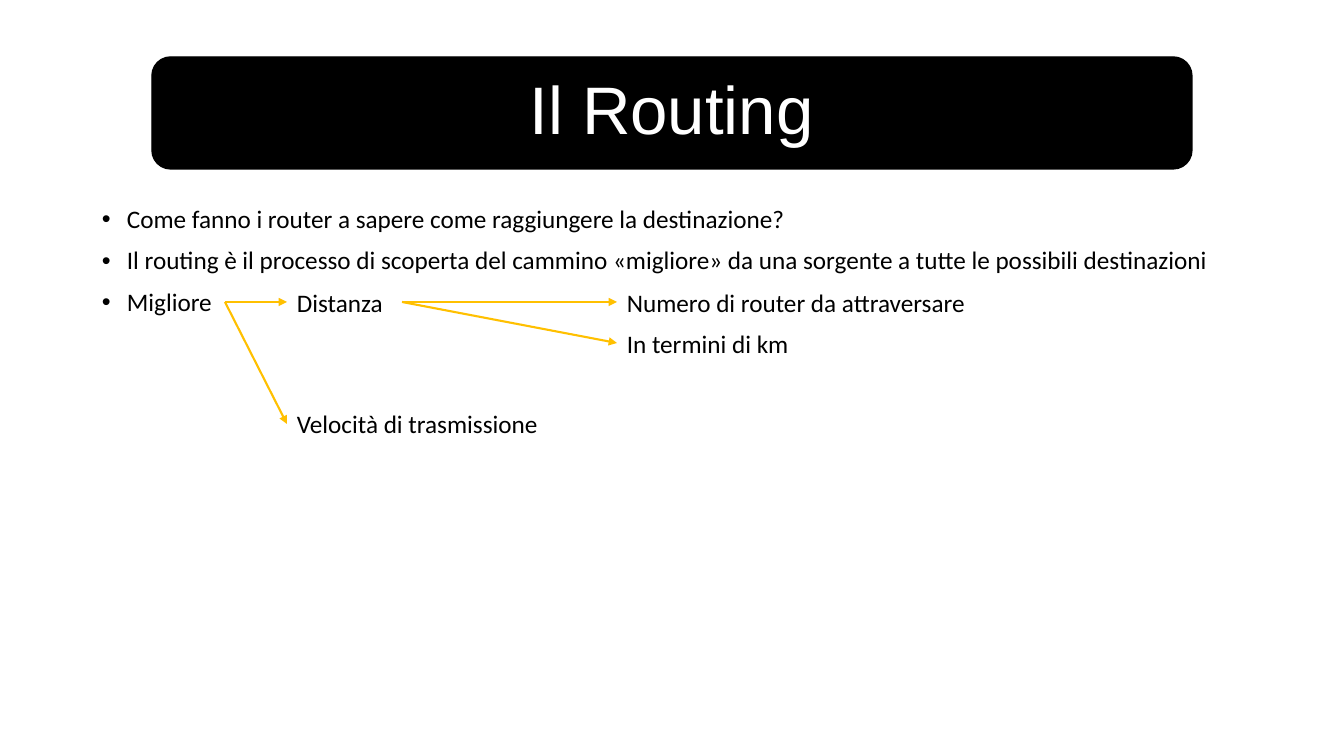
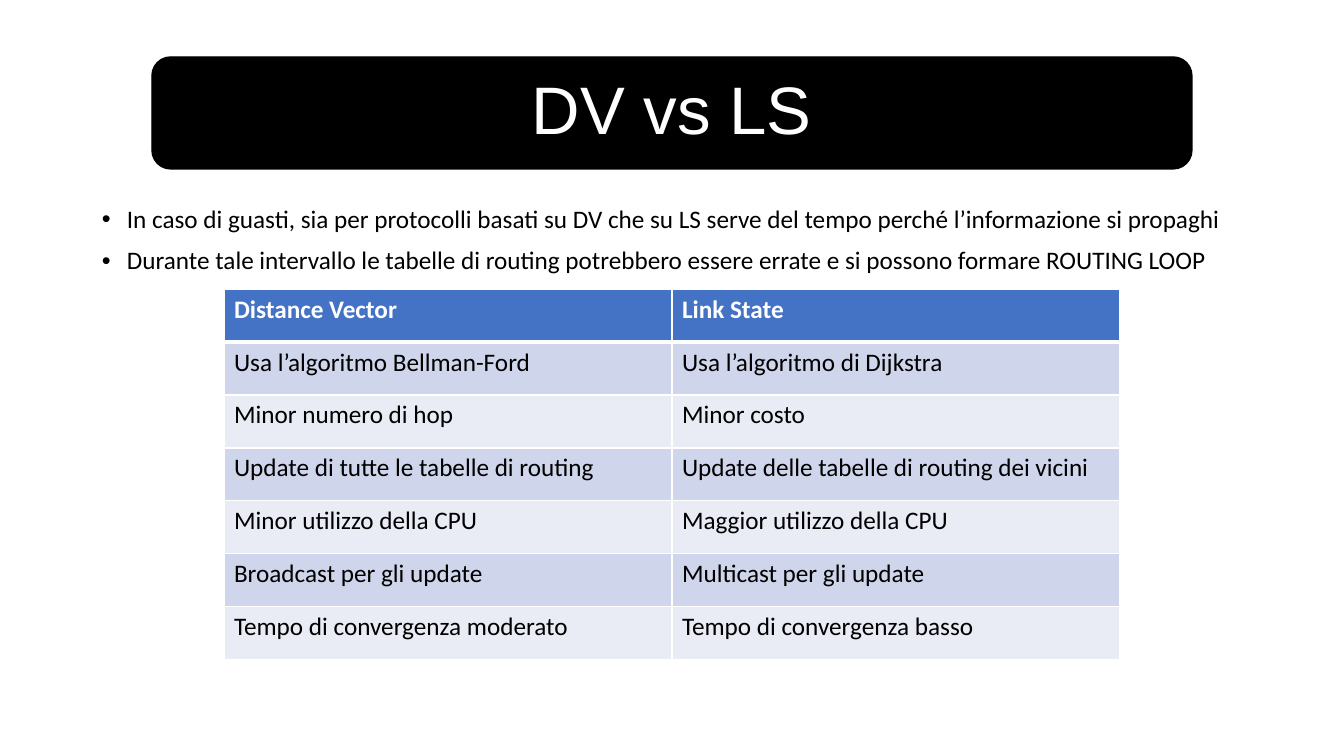
"""Build two slides on routing: how paths are chosen, and Distance Vector against Link State."""
from lxml import etree
from pptx import Presentation
from pptx.dml.color import RGBColor
from pptx.enum.shapes import MSO_CONNECTOR, MSO_SHAPE
from pptx.enum.text import MSO_ANCHOR, PP_ALIGN
from pptx.oxml.ns import qn
from pptx.util import Emu, Pt

STRAIGHT = MSO_CONNECTOR.STRAIGHT
ROUNDED = MSO_SHAPE.ROUNDED_RECTANGLE
MIDDLE = MSO_ANCHOR.MIDDLE
CENTER = PP_ALIGN.CENTER

BLACK = RGBColor(0x00, 0x00, 0x00)
WHITE = RGBColor(0xFF, 0xFF, 0xFF)
AMBER = RGBColor(0xFF, 0xC0, 0x00)
HEADER_BLUE = RGBColor(0x44, 0x72, 0xC4)
BANDS = [RGBColor(0xCF, 0xD5, 0xEA), RGBColor(0xE9, 0xEB, 0xF5)]

PIXEL = 914400 / 100.8
INDENT = 25
LABEL_HEIGHT = 40

SLIDES = [
    ("Il Routing", [
        "Come fanno i router a sapere come raggiungere la destinazione?",
        "Il routing è il processo di scoperta del cammino «migliore» da una sorgente"
        " a tutte le possibili destinazioni",
        "Migliore",
    ]),
    ("DV vs LS", [
        "In caso di guasti, sia per protocolli basati su DV che su LS serve del tempo"
        " perché l’informazione si propaghi",
        "Durante tale intervallo le tabelle di routing potrebbero essere errate"
        " e si possono formare ROUTING LOOP",
    ]),
]
LABELS = [
    ("Distanza", 287, 282, 115),
    ("Velocità di trasmissione", 287, 403, 267),
    ("Numero di router da attraversare", 617, 282, 364),
    ("In termini di km", 617, 323, 364),
]
ARROWS = [
    (225, 302, 287, 302),
    (225, 302, 287, 424),
    (402, 302, 617, 302),
    (402, 302, 617, 343),
]
COMPARISON = [
    ("Distance Vector", "Link State"),
    ("Usa l’algoritmo Bellman-Ford", "Usa l’algoritmo di Dijkstra"),
    ("Minor numero di hop", "Minor costo"),
    ("Update di tutte le tabelle di routing", "Update delle tabelle di routing dei vicini"),
    ("Minor utilizzo della CPU", "Maggior utilizzo della CPU"),
    ("Broadcast per gli update", "Multicast per gli update"),
    ("Tempo di convergenza moderato", "Tempo di convergenza basso"),
]
ROW_HEIGHT = 53
COLUMN_WIDTH = 448


def px(*lengths):
    """Turn pixels into EMU."""
    return [Emu(round(length * PIXEL)) for length in lengths]


def add_run(paragraph, text, color=BLACK, size=18, font="Calibri", bold=False):
    """Add one styled run."""
    run = paragraph.add_run()
    run.text = text
    run.font.name = font
    run.font.size = Pt(size)
    run.font.bold = bold
    run.font.color.rgb = color


presentation = Presentation()
presentation.slide_width, presentation.slide_height = px(1344, 756)
blank_layout = presentation.slide_layouts[6]

for title, points in SLIDES:
    slide = presentation.slides.add_slide(blank_layout)

    title_band = slide.shapes.add_shape(ROUNDED, *px(152, 57, 1040, 112))
    title_band.shadow.inherit = False
    title_band.fill.solid()
    title_band.fill.fore_color.rgb = BLACK
    title_band.line.color.rgb = BLACK
    title_band.line.width = Pt(1)
    title_band.text_frame.vertical_anchor = MIDDLE
    paragraph = title_band.text_frame.paragraphs[0]
    paragraph.alignment = CENTER
    paragraph.line_spacing = 0.9
    add_run(paragraph, title, WHITE, 48, "Arial")

    body = slide.shapes.add_textbox(*px(92, 202, 1160, 480)).text_frame
    body.word_wrap = True
    for index, point in enumerate(points):
        paragraph = body.add_paragraph() if index else body.paragraphs[0]
        paragraph.line_spacing = 0.9
        paragraph.space_before = Pt(10)
        add_run(paragraph, point)
        properties = paragraph._p.get_or_add_pPr()
        indent = px(INDENT)[0]
        properties.set("marL", str(indent))
        properties.set("indent", str(-indent))
        etree.SubElement(properties, qn("a:buFont"), typeface="Arial")
        etree.SubElement(properties, qn("a:buChar"), char="•")

routing_slide, comparison_slide = presentation.slides

for text, left, top, width in LABELS:
    label = routing_slide.shapes.add_textbox(*px(left, top, width, LABEL_HEIGHT))
    label.text_frame.word_wrap = True
    add_run(label.text_frame.paragraphs[0], text)

for ends in ARROWS:
    arrow = routing_slide.shapes.add_connector(STRAIGHT, *px(*ends))
    arrow.line.color.rgb = AMBER
    arrow.line.width = Pt(1.5)
    etree.SubElement(arrow.line._get_or_add_ln(), qn("a:tailEnd"), type="triangle")
    etree.SubElement(arrow._element.spPr, qn("a:effectLst"))

row_count, column_count = len(COMPARISON), len(COMPARISON[0])
table = comparison_slide.shapes.add_table(
    row_count, column_count,
    *px(224, 289, column_count * COLUMN_WIDTH, row_count * ROW_HEIGHT)).table

for row_index, texts in enumerate(COMPARISON):
    is_header = row_index == 0
    for column_index, text in enumerate(texts):
        cell = table.cell(row_index, column_index)
        properties = cell._tc.get_or_add_tcPr()
        for side in ("lnL", "lnR", "lnT", "lnB"):
            thick = (is_header and side == "lnB") or (row_index == 1 and side == "lnT")
            border = etree.SubElement(properties, qn(f"a:{side}"), w=str(Pt(3 if thick else 1)))
            border_fill = etree.SubElement(border, qn("a:solidFill"))
            etree.SubElement(border_fill, qn("a:srgbClr"), val=str(WHITE))
        cell.fill.solid()
        cell.fill.fore_color.rgb = HEADER_BLUE if is_header else BANDS[(row_index - 1) % 2]
        add_run(cell.text_frame.paragraphs[0], text,
                WHITE if is_header else BLACK, bold=is_header)

presentation.save("out.pptx")
